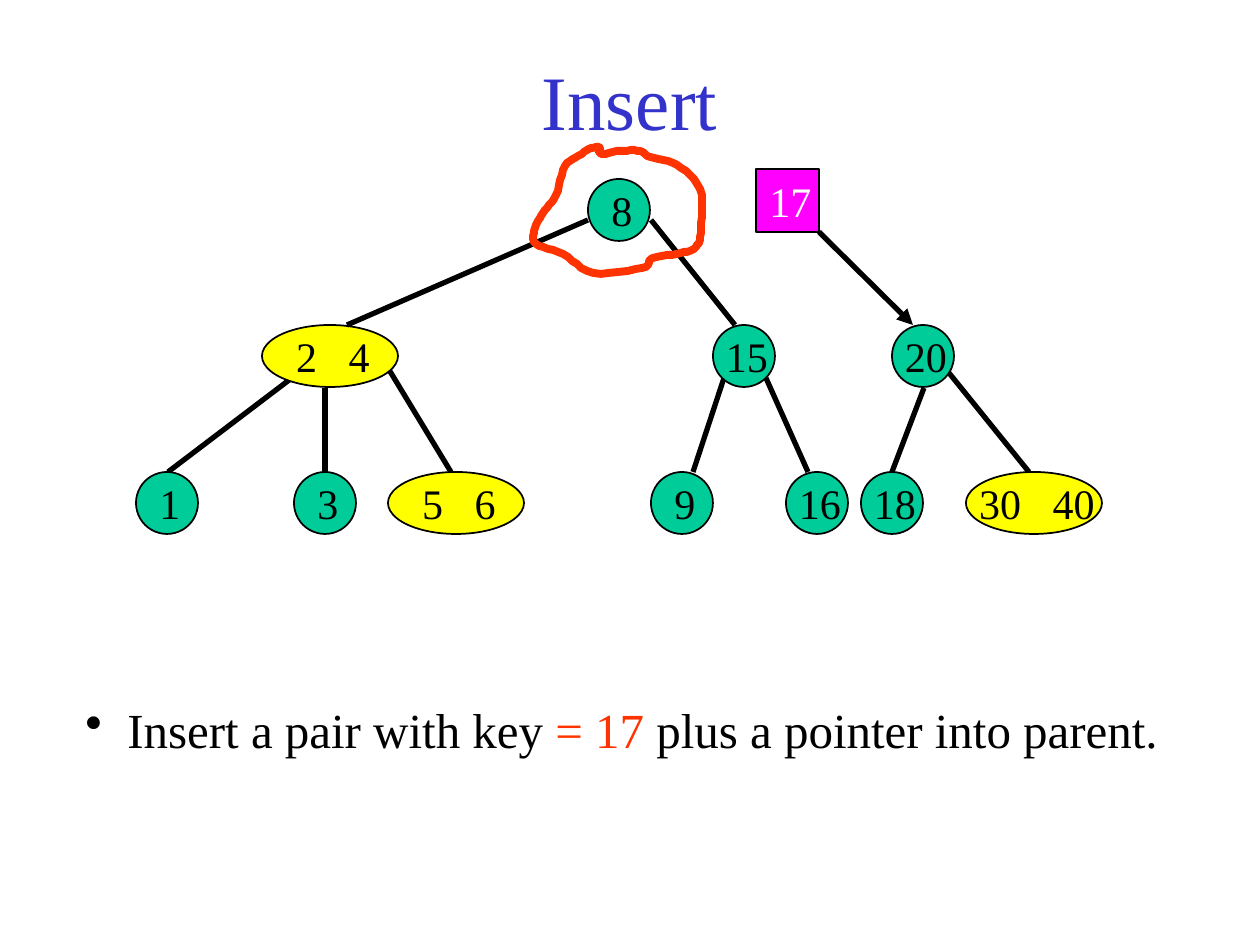
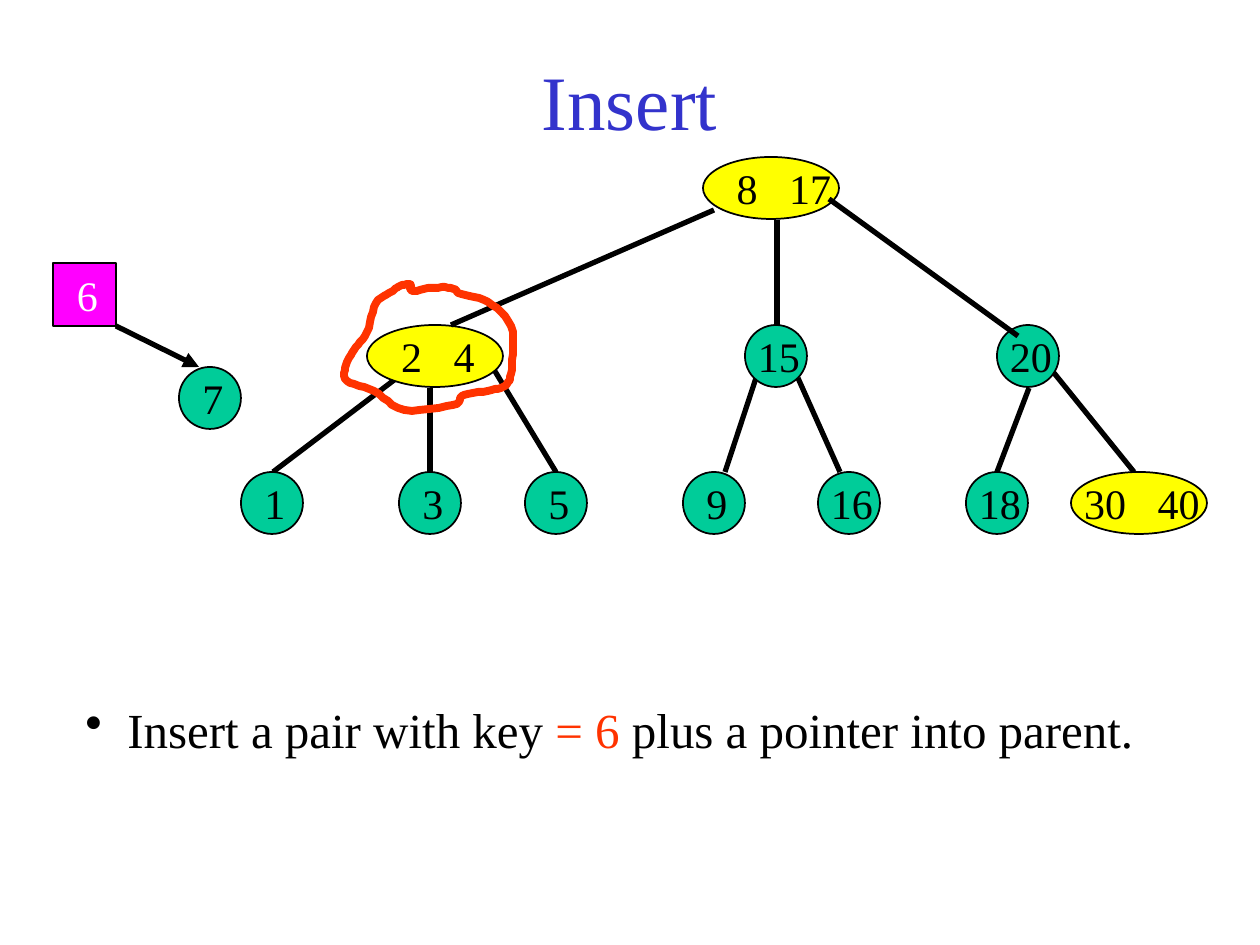
from lxml.etree import SubElement
from pptx import Presentation
from pptx.dml.color import RGBColor
from pptx.enum.shapes import MSO_CONNECTOR, MSO_SHAPE
from pptx.enum.text import MSO_ANCHOR, PP_ALIGN
from pptx.oxml.ns import qn
from pptx.util import Inches, Pt

PX = Inches(1) / 126
FONT = "Times New Roman"
BLACK, WHITE, BLUE, RED = "000000", "FFFFFF", "3333CC", "FF3300"
GREEN, YELLOW, MAGENTA = "00CC99", "FFFF00", "FF00FF"

NODE_HEIGHT, OVAL_WIDTH, SQUARE = 62, 136, 63
PARENT_Y, LEAF_DROP = 325, 147

# Points of the hand-drawn loop, relative to its top left corner
LOOP = [(64, 0), (52, 3), (45, 8), (30, 19), (21, 48), (8, 66), (0, 81),
        (1, 97), (28, 107), (58, 126), (107, 121), (118, 111), (146, 106),
        (161, 100), (166, 82), (165, 42), (142, 18), (115, 10), (105, 4),
        (85, 4), (66, 7)]

# Edges of each subtree, relative to its first leaf and the parent row
LEFT_EDGES = [(169, 43, 32, LEAF_DROP), (189, 63, 189, LEAF_DROP),
              (252, 43, 315, LEAF_DROP)]
MIDDLE_EDGES = [(73, 53, 42, LEAF_DROP), (115, 53, 157, LEAF_DROP)]
RIGHT_EDGES = [(63, 63, 31, LEAF_DROP), (84, 43, 168, LEAF_DROP)]


def px(value):
    return round(value * PX)


def color(hex_string):
    return RGBColor.from_string(hex_string)


def style_font(font, size, hex_string=None):
    font.name = FONT
    font.size = Pt(size)
    if hex_string:
        font.color.rgb = color(hex_string)


def add_text_box(slide, left, top, width, height):
    shape = slide.shapes.add_textbox(px(left), px(top), px(width), px(height))
    shape.text_frame.word_wrap = True
    return shape.text_frame


def add_title(slide, text):
    frame = add_text_box(slide, 94, 21, 1071, 158)
    frame.vertical_anchor = MSO_ANCHOR.MIDDLE
    paragraph = frame.paragraphs[0]
    paragraph.text = text
    paragraph.alignment = PP_ALIGN.CENTER
    style_font(paragraph.font, 44, BLUE)


def add_bullet(slide, key):
    paragraph = add_text_box(slide, 73, 693, 1113, 72).paragraphs[0]
    properties = paragraph._p.get_or_add_pPr()
    properties.set("marL", str(px(42)))
    properties.set("indent", str(-px(42)))
    SubElement(properties, qn("a:buChar")).set("char", "•")
    style_font(paragraph.font, 28)
    for text, hex_string in [("Insert a pair with key ", BLACK),
                             (f"= {key} ", RED),
                             ("plus a pointer into parent.", BLACK)]:
        run = paragraph.add_run()
        run.text = text
        run.font.color.rgb = color(hex_string)


def add_key_shape(slide, kind, box, keys, fill, text_color=BLACK, nudge=3):
    """Add a shape with its keys centred, moved right by nudge."""
    shape = slide.shapes.add_shape(kind, *map(px, box))
    shape.shadow.inherit = False
    shape.fill.solid()
    shape.fill.fore_color.rgb = color(fill)
    shape.line.color.rgb = color(BLACK)
    shape.line.width = Pt(1)
    frame = shape.text_frame
    frame.word_wrap = False
    frame.vertical_anchor = MSO_ANCHOR.MIDDLE
    frame.margin_left = px(2 * nudge)
    frame.margin_right = frame.margin_top = frame.margin_bottom = 0
    paragraph = frame.paragraphs[0]
    paragraph.alignment = PP_ALIGN.CENTER
    style_font(paragraph.font, 24, text_color)
    for index, key in enumerate(keys):
        if index:
            # One space, widened by character spacing
            gap = paragraph.add_run()
            gap.text = " "
            gap.font._element.set("spc", "1200")
        paragraph.add_run().text = str(key)


def add_node(slide, left, top, keys, nudge=3):
    """A green circle holds one key, a yellow oval holds two."""
    single = len(keys) == 1
    box = (left, top, NODE_HEIGHT if single else OVAL_WIDTH, NODE_HEIGHT)
    add_key_shape(slide, MSO_SHAPE.OVAL, box, keys,
                  GREEN if single else YELLOW, nudge=nudge)


def add_edge(slide, x1, y1, x2, y2, arrow=False):
    edge = slide.shapes.add_connector(MSO_CONNECTOR.STRAIGHT,
                                      *map(px, (x1, y1, x2, y2)))
    edge.line.color.rgb = color(BLACK)
    edge.line.width = Pt(3)
    if arrow:
        SubElement(edge.line._get_or_add_ln(), qn("a:tailEnd")).set("type", "triangle")
    SubElement(edge._element.spPr, qn("a:effectLst"))


def add_subtree(slide, left, parent, leaves, edges):
    """Parent and leaves are (offset from left, keys)."""
    for x1, y1, x2, y2 in edges:
        add_edge(slide, left + x1, PARENT_Y + y1, left + x2, PARENT_Y + y2)
    add_node(slide, left + parent[0], PARENT_Y, parent[1])
    for offset, keys in leaves:
        add_node(slide, left + offset, PARENT_Y + LEAF_DROP, keys)


def add_subtrees(slide, left_x, middle_x, right_x, third_leaf):
    add_subtree(slide, left_x, (126, [2, 4]),
                [(0, [1]), (158, [3]), third_leaf], LEFT_EDGES)
    add_subtree(slide, middle_x, (62, [15]), [(0, [9]), (135, [16])], MIDDLE_EDGES)
    add_subtree(slide, right_x, (31, [20]), [(0, [18]), (105, [30, 40])], RIGHT_EDGES)


def add_pending_pair(slide, left, top, key, target):
    """The key to insert, with a pointer to its new subtree."""
    add_key_shape(slide, MSO_SHAPE.RECTANGLE, (left, top, SQUARE, SQUARE),
                  [key], MAGENTA, WHITE)
    add_edge(slide, left + SQUARE, top + SQUARE, *target, arrow=True)


def smooth_closed(points, steps=6):
    """Sample a closed Catmull-Rom curve through the points."""
    count = len(points)
    for index in range(count):
        corners = [points[(index + shift) % count] for shift in (-1, 0, 1, 2)]
        for step in range(steps):
            t = step / steps
            yield tuple(
                b + (c - a) * t / 2
                + (2 * a - 5 * b + 4 * c - d) * t ** 2 / 2
                + (3 * b - a - 3 * c + d) * t ** 3 / 2
                for a, b, c, d in zip(*corners))


def add_loop(slide, left, top):
    points = [(left + x, top + y) for x, y in smooth_closed(LOOP)]
    builder = slide.shapes.build_freeform(*points[0], scale=PX)
    builder.add_line_segments(points[1:], close=True)
    shape = builder.convert_to_shape()
    shape.shadow.inherit = False
    shape.fill.background()
    shape.line.color.rgb = color(RED)
    shape.line.width = Pt(4.5)


def add_insert_slide(presentation, key):
    slide = presentation.slides.add_slide(presentation.slide_layouts[6])
    add_title(slide, "Insert")
    add_bullet(slide, key)
    return slide


def add_root_overflow_slide(presentation):
    slide = add_insert_slide(presentation, 17)
    add_subtrees(slide, 136, 651, 861, (252, [5, 6]))
    # Root
    add_node(slide, 588, 179, [8])
    add_edge(slide, 588, 220, 347, PARENT_Y)
    add_edge(slide, 651, 220, 735, PARENT_Y)
    add_pending_pair(slide, 756, 169, 17, (913, PARENT_Y))
    add_loop(slide, 535, 147)


def add_child_overflow_slide(presentation):
    slide = add_insert_slide(presentation, 6)
    add_subtrees(slide, 241, 683, 966, (284, [5]))
    # Root
    add_node(slide, 703, 157, [8, 17], nudge=13)
    add_edge(slide, 714, 210, 451, PARENT_Y)
    add_edge(slide, 777, 220, 777, PARENT_Y)
    add_edge(slide, 829, 199, 1018, 336)
    # Split-off node and its pair
    add_node(slide, 179, 367, [7])
    add_pending_pair(slide, 53, 263, 6, (199, 367))
    add_loop(slide, 346, 284)


def main():
    presentation = Presentation()
    presentation.slide_width = Inches(10)
    presentation.slide_height = Inches(7.5)
    add_root_overflow_slide(presentation)
    add_child_overflow_slide(presentation)
    presentation.save("out.pptx")


if __name__ == "__main__":
    main()
